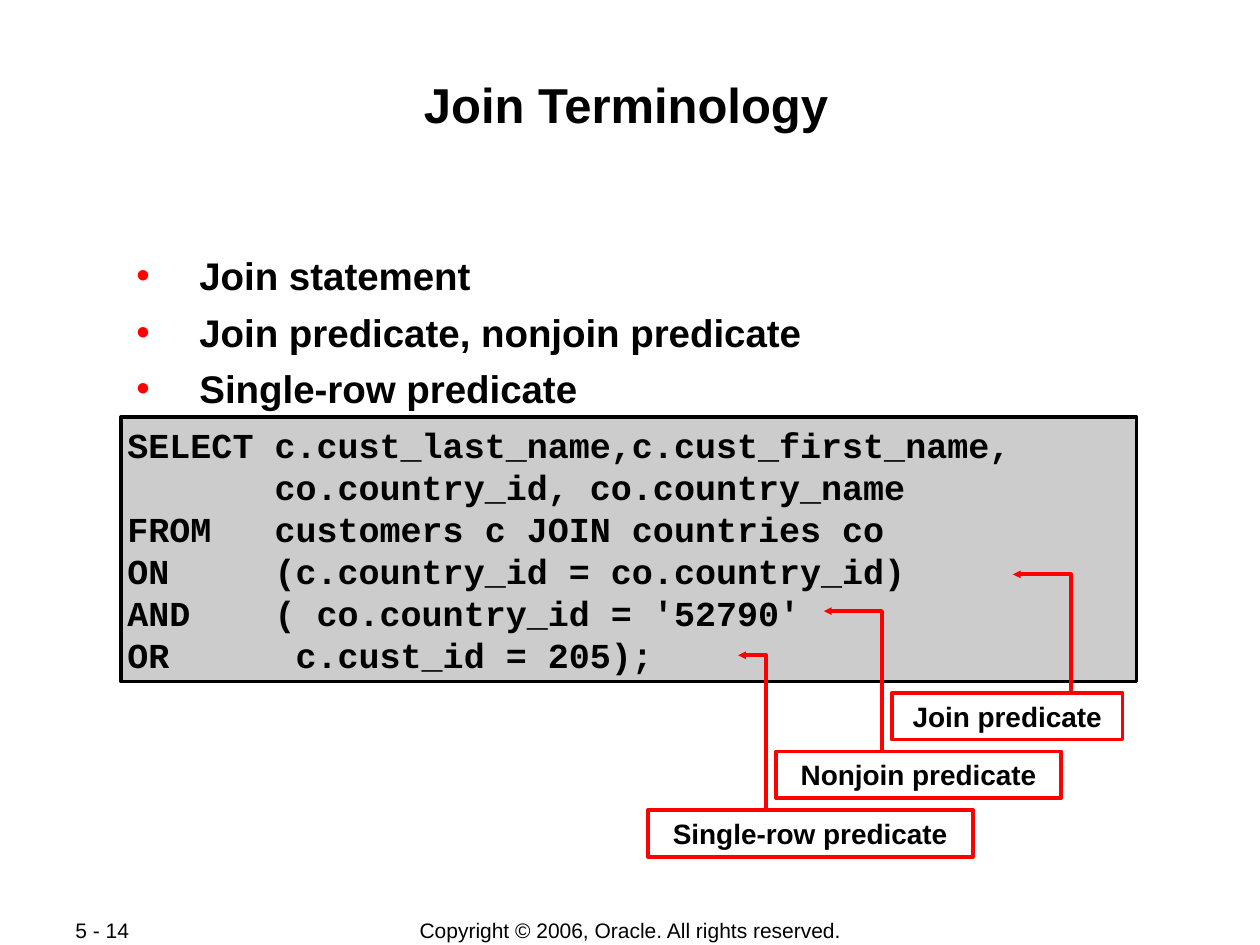
"""Build the Join Terminology slide: bullets, an annotated SQL query and a footer."""
from lxml.etree import SubElement
from pptx import Presentation
from pptx.dml.color import RGBColor
from pptx.enum.shapes import MSO_SHAPE
from pptx.enum.text import MSO_ANCHOR, MSO_AUTO_SIZE, PP_ALIGN
from pptx.oxml.ns import qn
from pptx.util import Cm, Pt


class Theme:
    sans, mono = "Arial", "Courier New"
    text = RGBColor(0, 0, 0)
    accent = RGBColor(255, 0, 0)
    paper = RGBColor(255, 255, 255)
    code_fill = RGBColor(0xCC, 0xCC, 0xCC)
    title_size, body_size, code_size, label_size, footer_size = 28, 22, 20, 16, 12


TITLE = "Join Terminology"
BULLETS = ["Join statement", "Join predicate, nonjoin predicate", "Single-row predicate"]
QUERY = [
    "SELECT c.cust_last_name,c.cust_first_name,",
    "       co.country_id, co.country_name",
    "FROM   customers c JOIN countries co",
    "ON     (c.country_id = co.country_id)",
    "AND    ( co.country_id = '52790'",
    "OR      c.cust_id = 205);",
]
CALLOUTS = [
    {"text": "Join predicate", "left": 17.98, "width": 4.65, "bend": (21.59, 11.58), "tip": 20.42},
    {"text": "Nonjoin predicate", "left": 15.65, "width": 5.74, "bend": (17.78, 12.32), "tip": 16.61},
    {"text": "Single-row predicate", "left": 13.06, "width": 6.55, "bend": (15.44, 13.21), "tip": 14.88},
]
LABEL_TOP, LABEL_STEP, LABEL_HEIGHT = 13.97, 1.18, 0.94
FOOTERS = [
    ("5 - 14", (1.27, 18.49, 2.69, 0.52), PP_ALIGN.LEFT),
    ("Copyright © 2006, Oracle. All rights reserved.", (7.01, 18.49, 11.4, 0.52), PP_ALIGN.CENTER),
]


def place(shape, box):
    shape.left, shape.top, shape.width, shape.height = map(Cm, box)


def write(shape, lines, size, font=Theme.sans, bold=True, align=PP_ALIGN.LEFT,
          anchor=MSO_ANCHOR.TOP, insets=(0.25, 0.13, 0.25, 0.13), bullet=None,
          space_before=0, line_height=None):
    frame = shape.text_frame
    frame.auto_size = MSO_AUTO_SIZE.NONE
    frame.word_wrap = True
    frame.vertical_anchor = anchor
    frame.margin_left, frame.margin_top, frame.margin_right, frame.margin_bottom = map(Cm, insets)
    frame.text = "\n".join(lines)
    for index, paragraph in enumerate(frame.paragraphs):
        if bullet:
            add_bullet(paragraph, bullet)
        paragraph.alignment = align
        paragraph.space_before = Pt(space_before if index else 0)
        if line_height:
            paragraph.line_spacing = Pt(line_height)
        paragraph.font.name = font
        paragraph.font.size = Pt(size)
        paragraph.font.bold = bold
        paragraph.font.color.rgb = Theme.text


def add_bullet(paragraph, character):
    properties = paragraph._p.get_or_add_pPr()
    properties.set("marL", str(Cm(1.6)))
    properties.set("indent", str(Cm(-1.27)))
    color = SubElement(properties, qn("a:buClr"))
    SubElement(color, qn("a:srgbClr"), val=str(Theme.accent))
    SubElement(properties, qn("a:buFont"), typeface=Theme.sans)
    SubElement(properties, qn("a:buChar"), char=character)


def add_panel(slide, box, fill, line, line_width):
    panel = slide.shapes.add_shape(MSO_SHAPE.RECTANGLE, *map(Cm, box))
    panel.shadow.inherit = False
    panel.fill.solid()
    panel.fill.fore_color.rgb = fill
    panel.line.color.rgb = line
    panel.line.width = Pt(line_width)
    return panel


def add_bent_arrow(slide, bend, tip, start_y):
    bend_x, bend_y = map(Cm, bend)
    builder = slide.shapes.build_freeform(bend_x, Cm(start_y))
    builder.add_line_segments([(bend_x, bend_y), (Cm(tip), bend_y)], close=False)
    arrow = builder.convert_to_shape()
    arrow.shadow.inherit = False
    arrow.fill.background()
    arrow.line.color.rgb = Theme.accent
    arrow.line.width = Pt(2.25)
    outline = arrow.element.spPr.find(qn("a:ln"))
    SubElement(outline, qn("a:tailEnd"), type="triangle", w="sm", len="sm")


def main():
    presentation = Presentation()
    presentation.slide_width, presentation.slide_height = Cm(25.4), Cm(19.05)
    slide = presentation.slides.add_slide(presentation.slide_layouts[1])
    tight = (0.03,) * 4

    for text, box, align in FOOTERS:
        footer = slide.shapes.add_textbox(*map(Cm, box))
        write(footer, [text], Theme.footer_size, bold=False, align=align, anchor=MSO_ANCHOR.MIDDLE)

    title, body = slide.shapes.title, slide.placeholders[1]
    place(title, (2.46, 1.47, 20.32, 2.44))
    write(title, [TITLE], Theme.title_size, align=PP_ALIGN.CENTER, insets=tight)
    place(body, (2.39, 5.05, 20.47, 3.25))
    write(body, BULLETS, Theme.body_size, insets=tight, bullet="•", space_before=6)

    code = add_panel(slide, (2.44, 8.41, 20.47, 5.33), Theme.code_fill, Theme.text, 2)
    write(code, QUERY, Theme.code_size, font=Theme.mono, insets=(0.13, 0.13, 0, 0.13), line_height=24)

    for index, callout in enumerate(CALLOUTS):
        top = LABEL_TOP + index * LABEL_STEP
        box = (callout["left"], top, callout["width"], LABEL_HEIGHT)
        label = add_panel(slide, box, Theme.paper, Theme.accent, 2.25)
        write(label, [callout["text"]], Theme.label_size, align=PP_ALIGN.CENTER)
        add_bent_arrow(slide, callout["bend"], callout["tip"], top)

    presentation.save("out.pptx")


if __name__ == "__main__":
    main()
